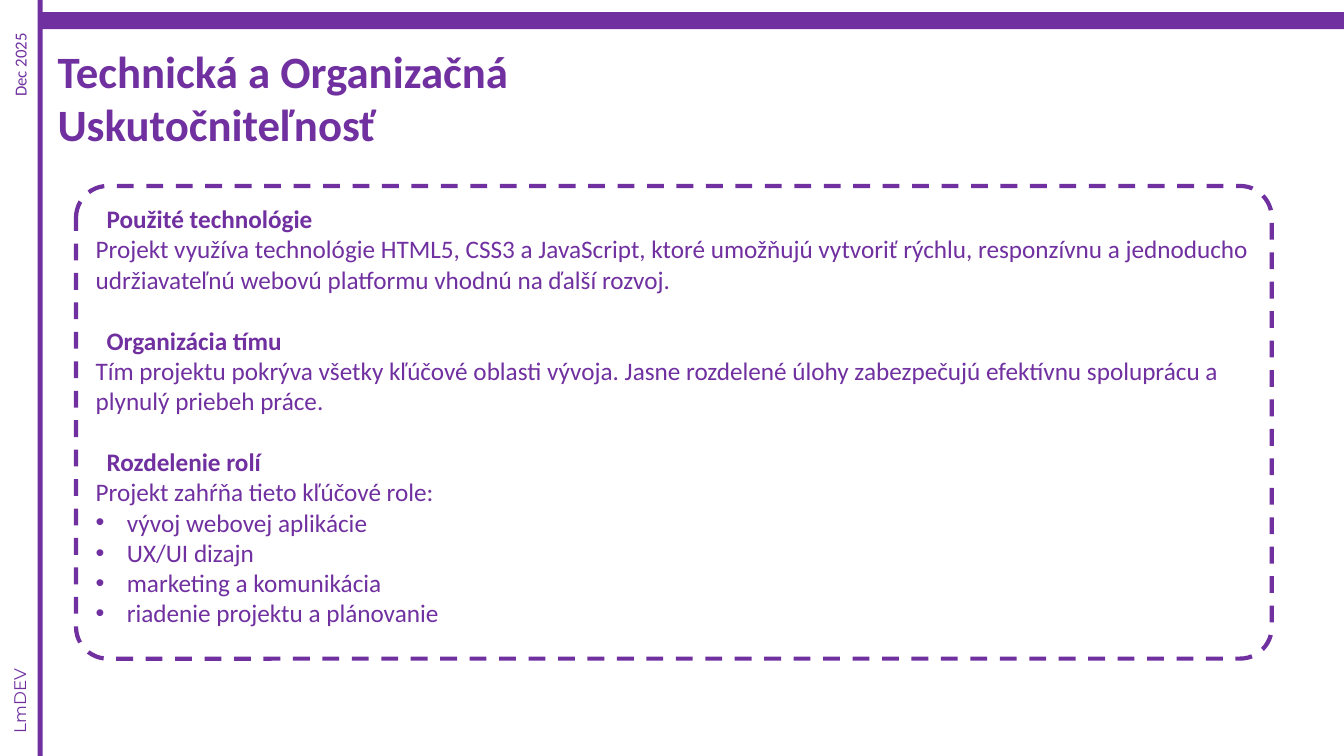
from dataclasses import dataclass

from lxml.etree import SubElement
from pptx import Presentation
from pptx.dml.color import RGBColor
from pptx.enum.dml import MSO_LINE
from pptx.enum.shapes import MSO_SHAPE
from pptx.enum.text import MSO_ANCHOR, MSO_AUTO_SIZE, PP_ALIGN
from pptx.oxml.ns import qn
from pptx.util import Inches, Pt


@dataclass(frozen=True)
class Theme:
    purple: RGBColor = RGBColor(0x70, 0x30, 0xA0)
    font: str = "Calibri"
    brand_font: str = "Montserrat"
    title_size: int = 32
    body_size: int = 18
    margin_size: int = 12


theme = Theme()
prs = Presentation()
prs.slide_width, prs.slide_height = Inches(13.33), Inches(7.5)
slide = prs.slides.add_slide(prs.slide_layouts[5])
shapes = slide.shapes


def area(left, top, width, height):
    """Turn percentages of the slide into lengths."""
    sides = (prs.slide_width, prs.slide_height) * 2
    return [round(side * share / 100) for side, share in zip(sides, (left, top, width, height))]


def add_run(paragraph, text, size, bold=False, font=theme.font):
    run = paragraph.add_run()
    run.text = text
    run.font.name, run.font.size, run.font.bold = font, Pt(size), bold
    run.font.color.rgb = theme.purple


# Side rule and top band
for band in [(2.8, 0, 0.38, 100), (3, 1.6, 97, 2.27)]:
    rule = shapes.add_shape(MSO_SHAPE.RECTANGLE, *area(*band))
    rule.shadow.inherit = False
    rule.fill.solid()
    rule.fill.fore_color.rgb = theme.purple
    rule.line.fill.background()

# Date and team name, read upwards in the margin
for text, font, place in [
    ("Dec 2025", theme.font, (-2.03, 5.87, 7.05, 4)),
    ("LmDEV", theme.brand_font, (-1.88, 90.4, 6.68, 4)),
]:
    margin_note = shapes.add_textbox(*area(*place))
    margin_note.rotation = 270
    margin_note.text_frame.word_wrap = False
    margin_note.text_frame.auto_size = MSO_AUTO_SIZE.SHAPE_TO_FIT_TEXT
    add_run(margin_note.text_frame.paragraphs[0], text, theme.margin_size, font=font)

# Title
title = shapes.title
title.left, title.top, title.width, title.height = area(3.53, 5.07, 39.76, 15.73)
title.text_frame.word_wrap = True
title.text_frame.auto_size = MSO_AUTO_SIZE.SHAPE_TO_FIT_TEXT
title.text_frame.vertical_anchor = MSO_ANCHOR.TOP
heading = title.text_frame.paragraphs[0]
heading.alignment = PP_ALIGN.LEFT
add_run(heading, "Technická a Organizačná Uskutočniteľnosť", theme.title_size, bold=True)

# Dashed panel
panel = shapes.add_shape(MSO_SHAPE.ROUNDED_RECTANGLE, *area(5.66, 24.6, 88.97, 62.53))
panel.adjustments[0] = 0.067
panel.shadow.inherit = False
panel.fill.background()
panel.line.color.rgb = theme.purple
panel.line.width = Pt(3)
panel.line.dash_style = MSO_LINE.DASH

# Sections: heading, statement, bulleted roles
sections = [
    ("Použité technológie",
     "Projekt využíva technológie HTML5, CSS3 a JavaScript, ktoré umožňujú vytvoriť rýchlu, "
     "responzívnu a jednoducho udržiavateľnú webovú platformu vhodnú na ďalší rozvoj.", []),
    ("Organizácia tímu",
     "Tím projektu pokrýva všetky kľúčové oblasti vývoja. Jasne rozdelené úlohy zabezpečujú "
     "efektívnu spoluprácu a plynulý priebeh práce.", []),
    ("Rozdelenie rolí",
     "Projekt zahŕňa tieto kľúčové role:",
     ["vývoj webovej aplikácie", "UX/UI dizajn", "marketing a komunikácia",
      "riadenie projektu a plánovanie"]),
]
content = shapes.add_textbox(*area(6.38, 26.27, 90.85, 57.87)).text_frame
content.word_wrap = True
content.auto_size = MSO_AUTO_SIZE.SHAPE_TO_FIT_TEXT
for number, (topic, statement, roles) in enumerate(sections):
    topic_line = content.add_paragraph() if number else content.paragraphs[0]
    topic_line.space_before = Pt(22 if number else 0)
    topic_line._p.get_or_add_pPr().set("marL", str(Inches(0.11)))
    add_run(topic_line, topic, theme.body_size, bold=True)
    add_run(content.add_paragraph(), statement, theme.body_size)
    for role in roles:
        role_line = content.add_paragraph()
        bullet = role_line._p.get_or_add_pPr()
        bullet.set("marL", str(Inches(0.31)))
        bullet.set("indent", str(-Inches(0.31)))
        SubElement(bullet, qn("a:buFont"), typeface="Arial")
        SubElement(bullet, qn("a:buChar"), char="•")
        add_run(role_line, role, theme.body_size)

prs.save("out.pptx")
